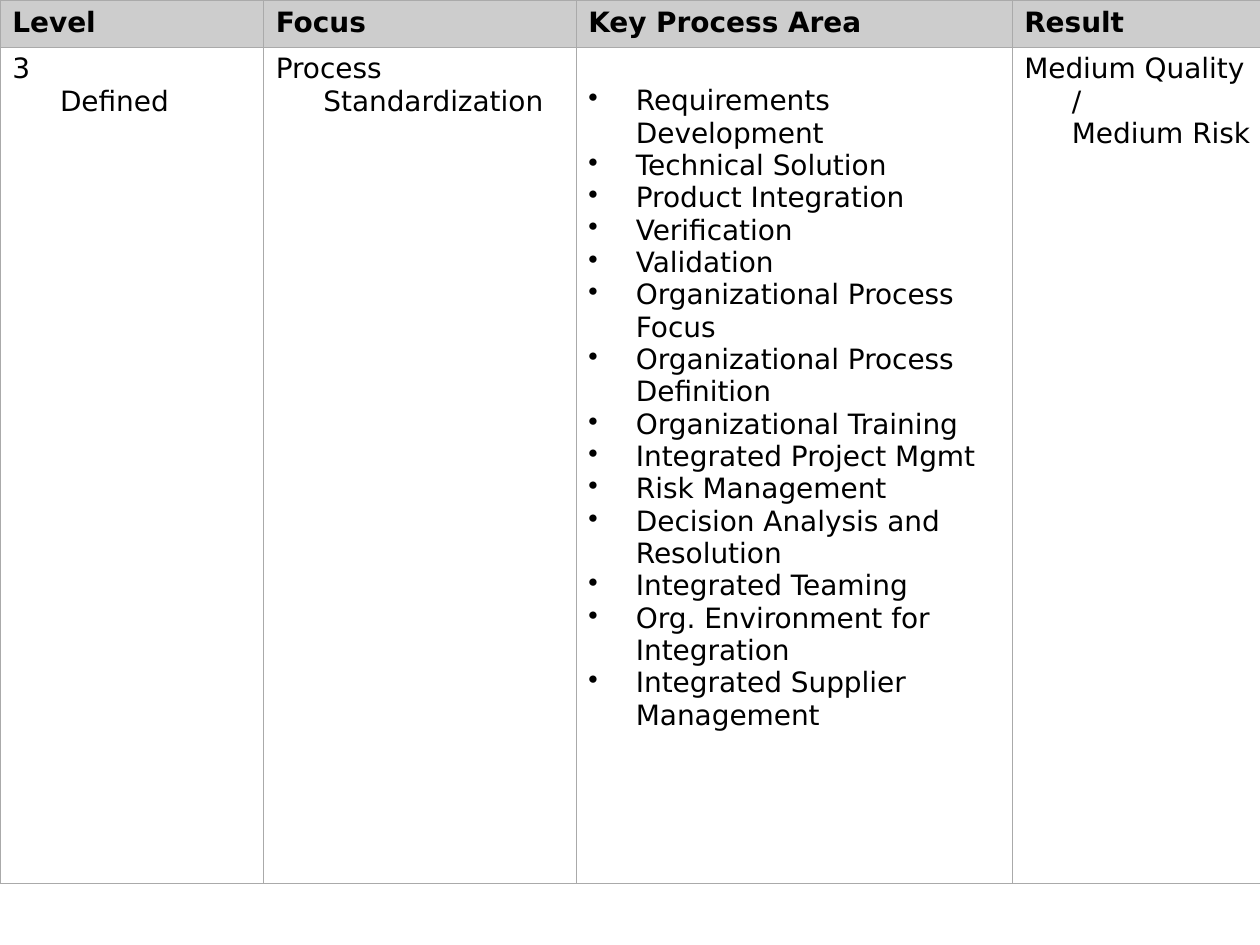
"""Builds a one-slide table of the process areas at maturity level 3."""
import pptx
import pptx.dml.color
import pptx.enum.text
import pptx.oxml.ns
import pptx.util
from lxml import etree

Cm = pptx.util.Cm
qn = pptx.oxml.ns.qn

HEADINGS = ["Level", "Focus", "Key Process Area", "Result"]
AREAS = [
    "Requirements Development",
    "Technical Solution",
    "Product Integration",
    "Verification",
    "Validation",
    "Organizational Process Focus",
    "Organizational Process Definition",
    "Organizational Training",
    "Integrated Project Mgmt",
    "Risk Management",
    "Decision Analysis and Resolution",
    "Integrated Teaming",
    "Org. Environment for Integration",
    "Integrated Supplier Management",
]
DETAILS = [["3\nDefined"], ["Process Standardization"], AREAS, ["Medium Quality /\nMedium Risk"]]


def color(value):
    return pptx.dml.color.RGBColor.from_string(value)


def write(para, text, size=16, font="DejaVu Sans", ink="000000", bold=False, bullet=None):
    properties = para._p.get_or_add_pPr()
    properties.set("marL", str(Cm(0.96)))
    properties.set("indent", str(Cm(-0.96)))
    if bullet:
        tint = etree.SubElement(properties, qn("a:buClr"))
        etree.SubElement(tint, qn("a:srgbClr"), val=ink)
        etree.SubElement(properties, qn("a:buChar"), char=bullet)
    para.text = text
    for span in para.runs:
        span.font.size = pptx.util.Pt(size)
        span.font.name = font
        span.font.bold = bold
        span.font.color.rgb = color(ink)
    for line_break in para._p.findall(qn("a:br")):
        etree.SubElement(line_break, qn("a:rPr"), sz=str(size * 100))


class Page:
    """Holds the table style and the current slide."""

    header_fill = "CDCDCD"
    body_fill = "FFFFFF"
    border = "AAAAAA"
    border_width = 0.06

    def __init__(self, deck):
        self.slide = deck.slides.add_slide(deck.slide_layouts[6])

    def table(self, widths, heights):
        frame = self.slide.shapes.add_table(
            len(heights), len(widths), Cm(0), Cm(0), Cm(sum(widths)), Cm(sum(heights)))
        table = frame.table
        table.first_row = table.horz_banding = False
        for column, width in zip(table.columns, widths):
            column.width = Cm(width)
        for row, height in zip(table.rows, heights):
            row.height = Cm(height)
        return table

    def cell(self, cell, texts, fill, top=0.13, middle=False, **style):
        cell.margin_left = cell.margin_right = Cm(0.25)
        cell.margin_top, cell.margin_bottom = Cm(top), Cm(0.13)
        anchors = pptx.enum.text.MSO_ANCHOR
        cell.vertical_anchor = anchors.MIDDLE if middle else anchors.TOP
        cell.fill.solid()
        cell.fill.fore_color.rgb = color(fill)
        self.borders(cell)
        body = cell.text_frame
        for index, text in enumerate(texts):
            para = body.add_paragraph() if index else body.paragraphs[0]
            write(para, text, **style)

    def borders(self, cell):
        properties = cell._tc.get_or_add_tcPr()
        for index, side in enumerate(["a:lnL", "a:lnR", "a:lnT", "a:lnB"]):
            line = etree.Element(qn(side), w=str(pptx.util.Pt(self.border_width)))
            paint = etree.SubElement(line, qn("a:solidFill"))
            etree.SubElement(paint, qn("a:srgbClr"), val=self.border)
            properties.insert(index, line)


def main():
    deck = pptx.Presentation()
    deck.slide_width, deck.slide_height = Cm(25.4), Cm(19.05)
    page = Page(deck)
    table = page.table(widths=[5.31, 6.3, 8.79, 5.11], heights=[0.94, 16.87])
    for column, (heading, details) in enumerate(zip(HEADINGS, DETAILS)):
        page.cell(table.cell(0, column), [heading], page.header_fill, middle=True, bold=True)
        listed = len(details) > 1
        page.cell(table.cell(1, column), details, page.body_fill,
                  top=0.77 if listed else 0.13, bullet="•" if listed else None)
    deck.save("out.pptx")


if __name__ == "__main__":
    main()
